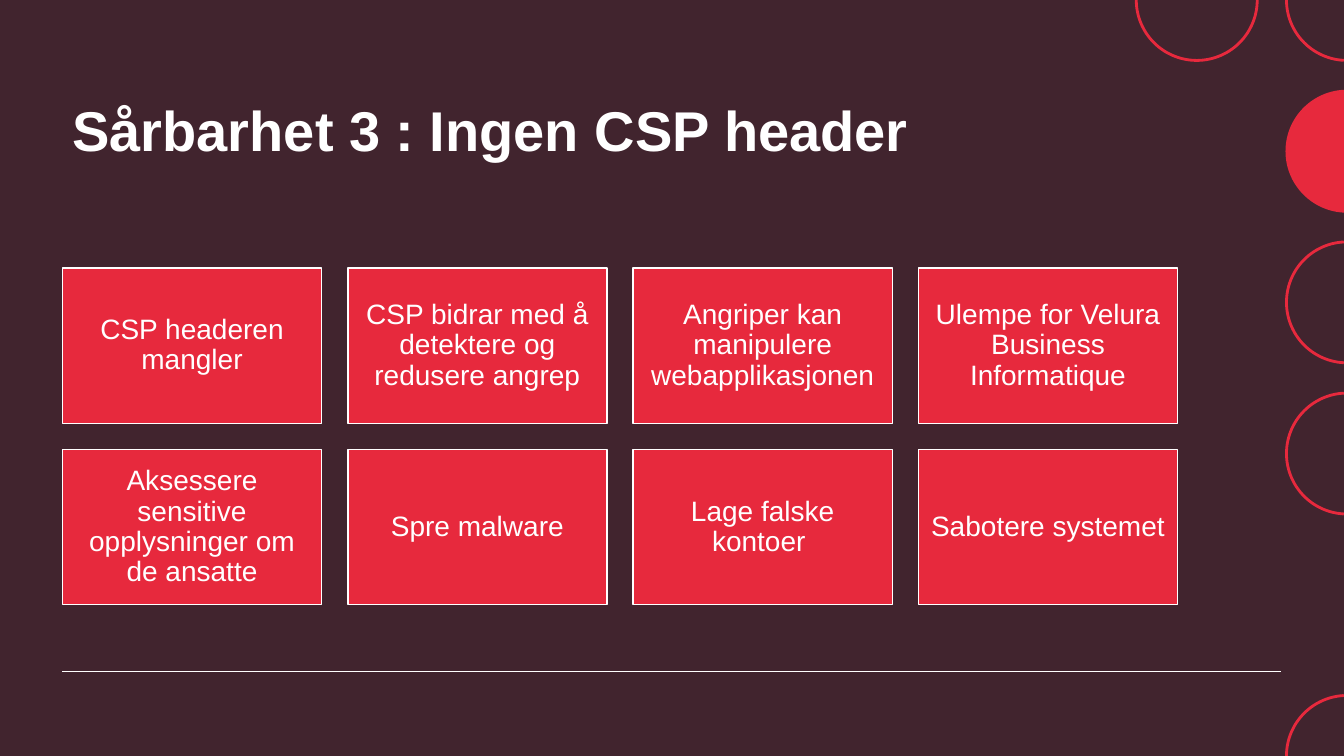
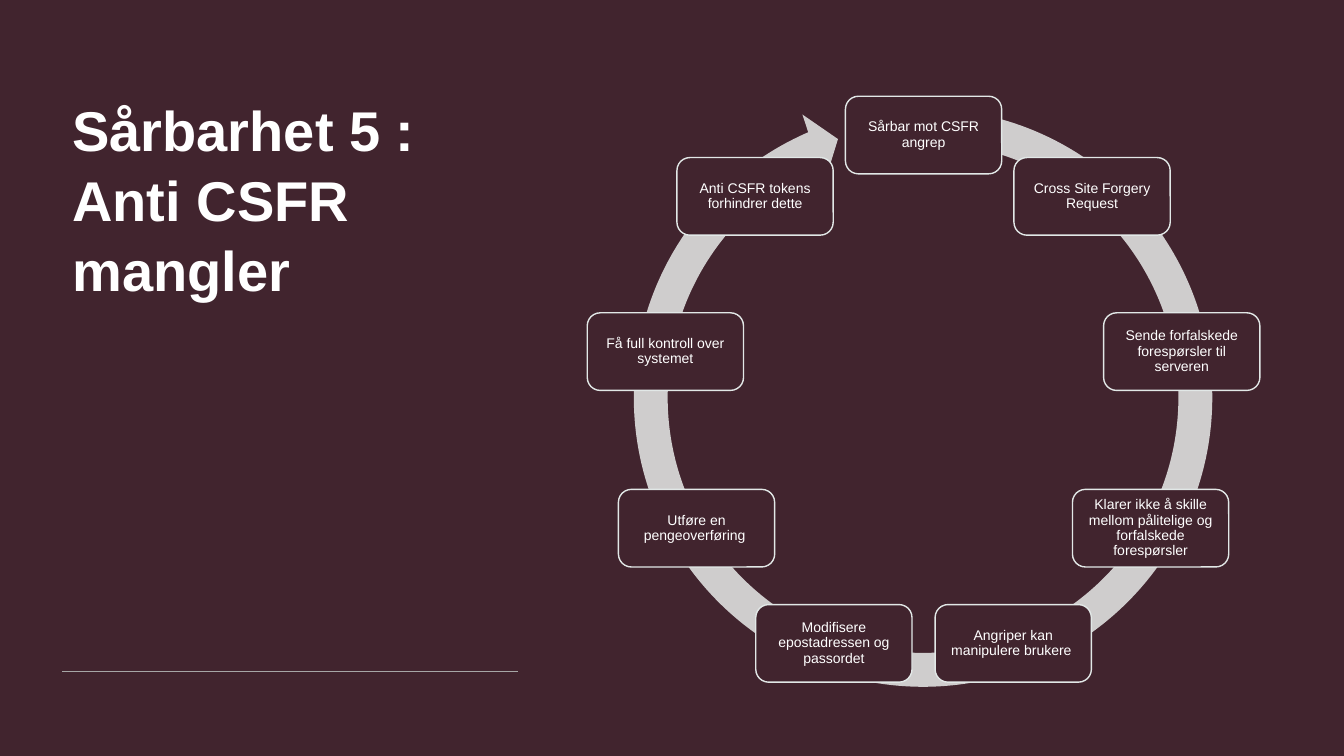
"""Build two slides on web vulnerabilities: a grid of boxes and a cycle."""
import math

from lxml import etree
from pptx import Presentation
from pptx.dml.color import RGBColor
from pptx.enum import shapes, text
from pptx.oxml import ns
from pptx.util import Inches, Pt

FONT = "Arial"
PLUM = RGBColor(0x41, 0x24, 0x2E)
RED = RGBColor(0xE7, 0x29, 0x3D)
WHITE = RGBColor(0xFF, 0xFF, 0xFF)
MIST = RGBColor(0xE2, 0xE8, 0xE7)
SILVER = RGBColor(0xCF, 0xCD, 0xCD)
GREY = RGBColor(0xA6, 0xA6, 0xA6)

LEFT, TITLE_TOP, RULE_TOP = 0.62, 0.84, 6.66

CSP_TITLE = "Sårbarhet 3 : Ingen CSP header"
CSP_POINTS = [
    "CSP headeren mangler",
    "CSP bidrar med å detektere og redusere angrep",
    "Angriper kan manipulere webapplikasjonen",
    "Ulempe for Velura Business Informatique",
    "Aksessere sensitive opplysninger om de ansatte",
    "Spre malware",
    "Lage falske kontoer ",
    "Sabotere systemet",
]
CSFR_TITLE = "Sårbarhet 5 : Anti CSFR mangler"
CSFR_STEPS = [
    "Sårbar mot CSFR angrep",
    "Cross Site Forgery Request",
    "Sende forfalskede forespørsler til serveren",
    "Klarer ikke å skille mellom pålitelige og forfalskede forespørsler",
    "Angriper kan manipulere brukere ",
    "Modifisere epostadressen og passordet",
    "Utføre en pengeoverføring ",
    "Få full kontroll over systemet",
    "Anti CSFR tokens forhindrer dette",
]

GRID = {"columns": 4, "top": 2.66, "width": 2.57, "height": 1.54,
        "step_x": 2.83, "step_y": 1.8}
CYCLE = {"x": 9.16, "y": 3.94, "radius": 2.6, "width": 1.55, "height": 0.77}
ARROW_BOX = (6.1, 0.89, 6.11, 6.11)
ARROW_ADJUSTMENTS = (0.055, 3.307, 147.77, 168.021, 0.058)

RIM_X, EDGE_X = 13.36, 11.87
DISC = (RIM_X, 1.5, 93, 267)
RINGS = [
    (EDGE_X, 0, 0, 180),
    (RIM_X, 0, 93, 180),
    (RIM_X, 3, 93, 267),
    (RIM_X, 4.5, 93, 267),
    (RIM_X, 7.5, 180, 267),
]


def apply_format(target, values):
    for name, value in values.items():
        setattr(target, name, value)


def write(frame, wording, size, inset_x, inset_y, paragraph_format, bold=False):
    apply_format(frame, {
        "word_wrap": True,
        "margin_left": Inches(inset_x), "margin_right": Inches(inset_x),
        "margin_top": Inches(inset_y), "margin_bottom": Inches(inset_y),
    })
    paragraph = frame.paragraphs[0]
    apply_format(paragraph, paragraph_format)
    run = paragraph.add_run()
    run.text = wording
    apply_format(run.font, {"name": FONT, "size": Pt(size), "bold": bold})
    run.font.color.rgb = WHITE


def add_title(slide, wording, width, height):
    box = slide.shapes.add_textbox(*map(Inches, (LEFT, TITLE_TOP, width, height)))
    box.text_frame.vertical_anchor = text.MSO_ANCHOR.TOP
    write(box.text_frame, wording, 40, 0.1, 0.08, {"line_spacing": 1.04}, bold=True)


def add_rule(slide, right, color):
    ends = map(Inches, (LEFT, RULE_TOP, right, RULE_TOP))
    rule = slide.shapes.add_connector(shapes.MSO_CONNECTOR.STRAIGHT, *ends)
    rule.line.color.rgb = color
    rule.line.width = Pt(1)
    etree.SubElement(rule._element.spPr, ns.qn("a:effectLst"))


def paint(shape, fill=None, line=None, width=1):
    shape.shadow.inherit = False
    if fill is None:
        shape.fill.background()
    else:
        shape.fill.solid()
        shape.fill.fore_color.rgb = fill
    if line is None:
        shape.line.fill.background()
    else:
        shape.line.color.rgb = line
        shape.line.width = Pt(width)


def add_box(slide, kind, box, wording, size, inset, fill, line):
    shape = slide.shapes.add_shape(kind, *map(Inches, box))
    paint(shape, fill, line)
    shape.text_frame.vertical_anchor = text.MSO_ANCHOR.MIDDLE
    write(shape.text_frame, wording, size, inset, inset,
          {"alignment": text.PP_ALIGN.CENTER, "line_spacing": 0.9})


def add_arc(slide, x, y, start, end, radius, closed):
    points = [
        (Inches(x + radius * math.cos(math.radians(angle))),
         Inches(y + radius * math.sin(math.radians(angle))))
        for angle in range(start, end + 1, 3)
    ]
    builder = slide.shapes.build_freeform(*points[0])
    builder.add_line_segments(points[1:], close=closed)
    return builder.convert_to_shape()


def add_circles(slide):
    paint(add_arc(slide, *DISC, radius=0.61, closed=True), fill=RED)
    for ring in RINGS:
        paint(add_arc(slide, *ring, radius=0.6, closed=False), line=RED, width=2)


def build_csp(slide):
    add_title(slide, CSP_TITLE, 11.08, 1.39)
    for index, point in enumerate(CSP_POINTS):
        row, column = divmod(index, GRID["columns"])
        box = (LEFT + column * GRID["step_x"], GRID["top"] + row * GRID["step_y"],
               GRID["width"], GRID["height"])
        add_box(slide, shapes.MSO_SHAPE.RECTANGLE, box, point, 20, 0.08, RED, WHITE)
    add_circles(slide)
    add_rule(slide, 12.71, WHITE)


def build_csfr(slide):
    add_title(slide, CSFR_TITLE, 4.52, 3.71)
    add_rule(slide, 5.14, GREY)
    arrow = slide.shapes.add_shape(shapes.MSO_SHAPE.CIRCULAR_ARROW,
                                   *map(Inches, ARROW_BOX))
    paint(arrow, fill=SILVER)
    for index, value in enumerate(ARROW_ADJUSTMENTS):
        arrow.adjustments[index] = value
    width, height = CYCLE["width"], CYCLE["height"]
    for index, step in enumerate(CSFR_STEPS):
        angle = math.tau * index / len(CSFR_STEPS)
        box = (CYCLE["x"] + CYCLE["radius"] * math.sin(angle) - width / 2,
               CYCLE["y"] - CYCLE["radius"] * math.cos(angle) - height / 2,
               width, height)
        add_box(slide, shapes.MSO_SHAPE.ROUNDED_RECTANGLE, box, step, 10, 0.08,
                PLUM, MIST)


def main():
    presentation = Presentation()
    presentation.slide_width = Inches(13.33)
    presentation.slide_height = Inches(7.5)
    background = presentation.slide_master.background.fill
    background.solid()
    background.fore_color.rgb = PLUM
    for build in (build_csp, build_csfr):
        build(presentation.slides.add_slide(presentation.slide_layouts[6]))
    presentation.save("out.pptx")


if __name__ == "__main__":
    main()
